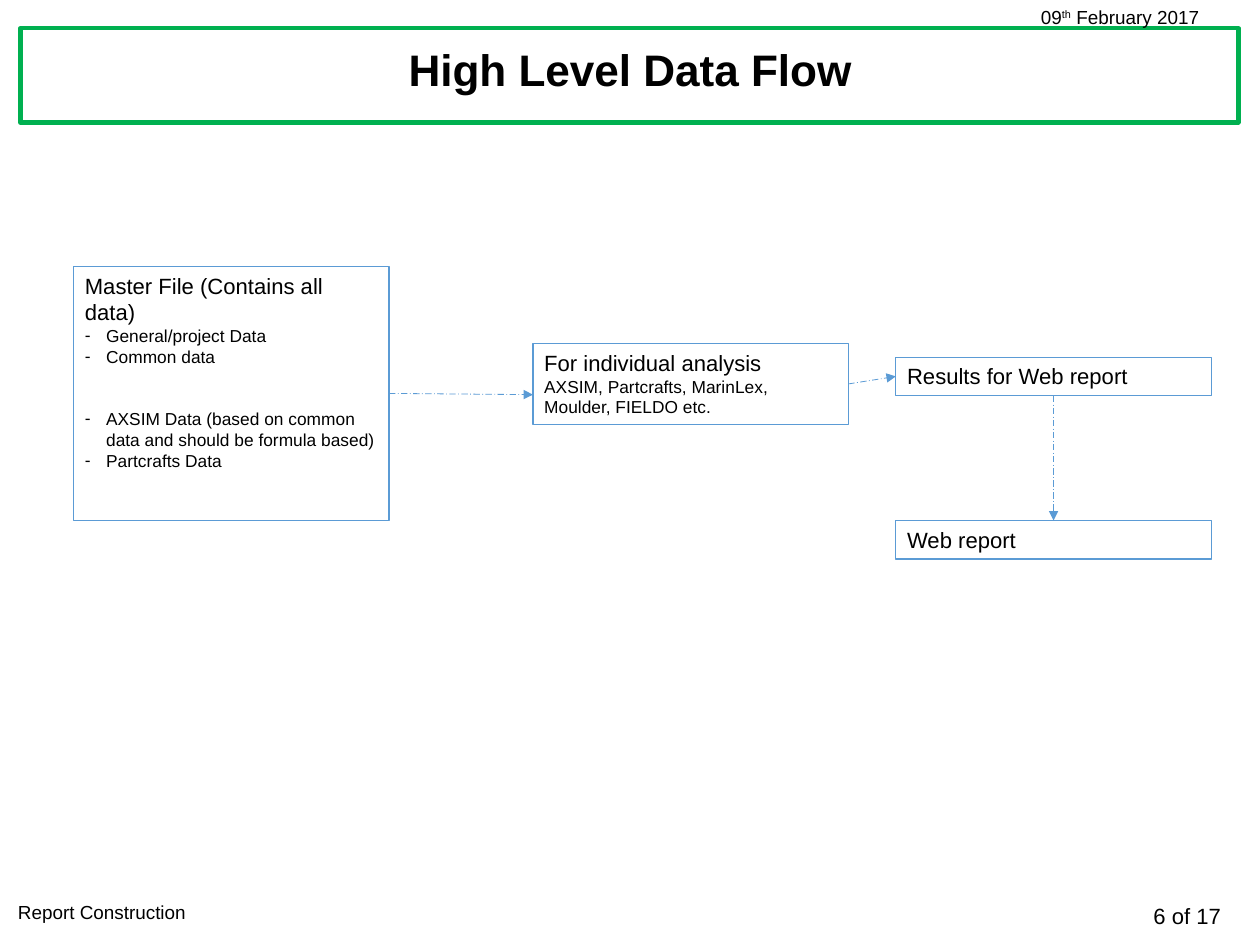
"""Build the High Level Data Flow slide."""
from dataclasses import dataclass
from typing import Any

import pptx
import pptx.dml.color
import pptx.enum.dml
import pptx.enum.shapes
import pptx.enum.text
import pptx.oxml.xmlchemy
import pptx.util
from lxml import etree
from pptx.oxml import ns

Pt = pptx.util.Pt
Align = pptx.enum.text.PP_ALIGN
Anchor = pptx.enum.text.MSO_ANCHOR
Kind = pptx.enum.shapes.MSO_SHAPE
RGB = pptx.dml.color.RGBColor


@dataclass(frozen=True)
class Theme:
    font: str = "Arial"
    ink: str = "000000"
    paper: str = "FFFFFF"
    green: str = "00B050"
    blue: str = "5B9BD5"
    title: float = 28
    head: float = 14
    note: float = 12
    body: float = 11
    indent: float = 13.5


THEME = Theme()


@dataclass(frozen=True)
class Run:
    text: str
    raised: bool = False


@dataclass(frozen=True)
class Line:
    runs: tuple[Run, ...]
    size: float = THEME.head
    bold: bool = False
    dash: bool = False
    gap: float = 0
    align: Any = Align.LEFT
    space: float = 1


@dataclass(frozen=True)
class Box:
    x: float
    y: float
    w: float
    h: float
    lines: tuple[Line, ...] = ()
    edge: str = ""
    weight: float = 0.75
    fill: str = ""
    anchor: Any = Anchor.TOP


@dataclass(frozen=True)
class Arrow:
    x1: float
    y1: float
    x2: float
    y2: float


def plain(text: str, **form: Any) -> Line:
    """Make a line of one run."""
    return Line((Run(text),), **form)


def item(text: str, gap: float = 0) -> Line:
    """Make a dashed list item."""
    return plain(text, size=THEME.body, dash=True, gap=gap)


def write(para: Any, text: str, *, size: float, bold: bool = False,
          raised: bool = False) -> None:
    """Add a formatted run to a paragraph."""
    run = para.add_run()
    run.text = text
    run.font.name = THEME.font
    run.font.size = Pt(size)
    run.font.bold = bold
    run.font.color.rgb = RGB.from_string(THEME.ink)
    if raised:
        run._r.get_or_add_rPr().set("baseline", "30000")


def bullet(para: Any) -> None:
    """Give a paragraph a hanging dash."""
    props = para._p.get_or_add_pPr()
    props.set("marL", str(Pt(THEME.indent)))
    props.set("indent", str(-Pt(THEME.indent)))
    etree.SubElement(props, ns.qn("a:buFont")).set("typeface", THEME.font)
    etree.SubElement(props, ns.qn("a:buChar")).set("char", "-")


def fill_text(frame: Any, box: Box) -> None:
    """Set the lines of a box."""
    frame.word_wrap = True
    frame.vertical_anchor = box.anchor
    for i, line in enumerate(box.lines):
        para = frame.add_paragraph() if i else frame.paragraphs[0]
        para.alignment = line.align
        para.line_spacing = line.space
        para.space_before = Pt(line.gap)
        if line.dash:
            bullet(para)
        for run in line.runs:
            write(para, run.text, size=line.size, bold=line.bold,
                  raised=run.raised)


def draw_box(slide: Any, box: Box) -> None:
    """Draw a framed box or a bare text box."""
    place = [Pt(n) for n in (box.x, box.y, box.w, box.h)]
    if box.edge:
        shape = slide.shapes.add_shape(Kind.RECTANGLE, *place)
        shape.shadow.inherit = False
        shape.line.color.rgb = RGB.from_string(box.edge)
        shape.line.width = Pt(box.weight)
        if box.fill:
            shape.fill.solid()
            shape.fill.fore_color.rgb = RGB.from_string(box.fill)
        else:
            shape.fill.background()
    else:
        shape = slide.shapes.add_textbox(*place)
    fill_text(shape.text_frame, box)


def draw_arrow(slide: Any, arrow: Arrow) -> None:
    """Draw a dash-dot arrow."""
    ends = [Pt(n) for n in (arrow.x1, arrow.y1, arrow.x2, arrow.y2)]
    link = slide.shapes.add_connector(
        pptx.enum.shapes.MSO_CONNECTOR.STRAIGHT, *ends)
    link.line.color.rgb = RGB.from_string(THEME.blue)
    link.line.width = Pt(0.5)
    link.line.dash_style = pptx.enum.dml.MSO_LINE.LONG_DASH_DOT
    tail = etree.SubElement(link.line._get_or_add_ln(), ns.qn("a:tailEnd"))
    tail.set("type", "triangle")
    etree.SubElement(link._element.spPr, ns.qn("a:effectLst"))


WIDE = 200.2
LEFT, MID, RIGHT = 46.8, 338.4, 568.8

BOXES = (
    Box(13, 18, 773.3, 59.8, edge=THEME.green, weight=2.75, fill=THEME.paper),
    Box(676.8, 569.5, 109.4, 24.5, (plain("6 of 17 ", align=Align.RIGHT),)),
    Box(4.3, 568.1, 303.1, 21.6,
        (plain("Report Construction", size=THEME.note),)),
    Box(653.8, 0, 133.2, 21.6,
        (Line((Run("09"), Run("th", True), Run(" February 2017")),
              size=THEME.note),)),
    Box(14.4, 16.6, 771.1, 59,
        (plain("High Level Data Flow", size=THEME.title, bold=True,
               align=Align.CENTER, space=0.9),), anchor=Anchor.MIDDLE),
    Box(LEFT, 169.2, WIDE, 161.3,
        (plain("Master File (Contains all data)"),
         item("General/project Data"),
         item("Common data"),
         item("AXSIM Data (based on common data and should be formula based)",
              gap=26.6),
         item("Partcrafts Data")), edge=THEME.blue),
    Box(MID, 218.2, WIDE, 51.1,
        (plain("For individual analysis"),
         plain("AXSIM, Partcrafts, MarinLex, Moulder, FIELDO etc.",
               size=THEME.body)), edge=THEME.blue),
    Box(RIGHT, 226.8, WIDE, 24.5,
        (plain("Results for Web report"),), edge=THEME.blue),
    Box(RIGHT, 330.5, WIDE, 24.5, (plain("Web report"),), edge=THEME.blue),
)

ARROWS = (
    Arrow(LEFT + WIDE, 249.8, MID, 250.6),
    Arrow(MID + WIDE, 243.8, RIGHT, 239),
    Arrow(RIGHT + WIDE / 2, 251.3, RIGHT + WIDE / 2, 330.5),
)


def main() -> None:
    """Build and save the slide."""
    deck = pptx.Presentation()
    deck.slide_width, deck.slide_height = Pt(800), Pt(600)
    slide = deck.slides.add_slide(deck.slide_layouts[6])
    for box in BOXES:
        draw_box(slide, box)
    for arrow in ARROWS:
        draw_arrow(slide, arrow)
    deck.save("out.pptx")


if __name__ == "__main__":
    main()
